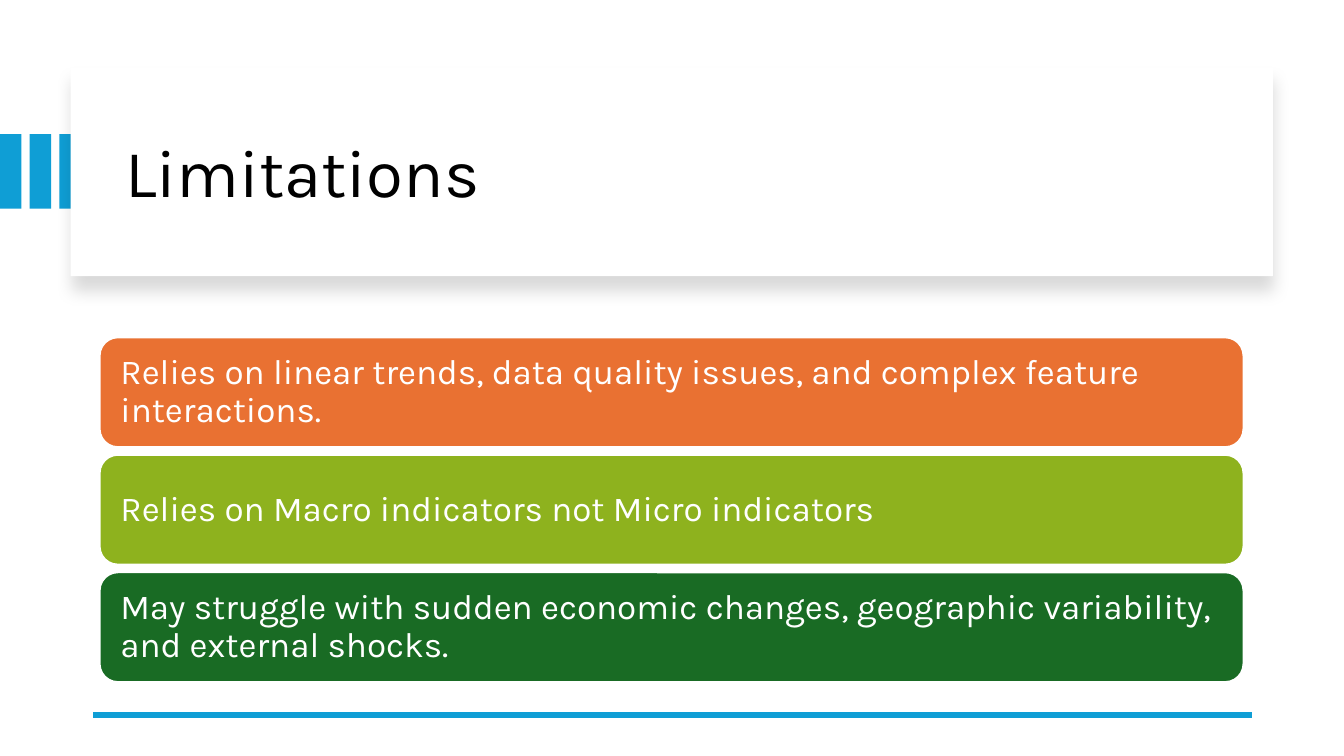
from dataclasses import dataclass

from lxml import etree
from pptx import Presentation
from pptx.dml.color import RGBColor
from pptx.enum.shapes import MSO_CONNECTOR, MSO_SHAPE
from pptx.enum.text import MSO_ANCHOR, PP_ALIGN
from pptx.oxml import parse_xml
from pptx.oxml.ns import nsdecls, qn
from pptx.util import Cm, Pt

RECT = MSO_SHAPE.RECTANGLE
ROUND = MSO_SHAPE.ROUNDED_RECTANGLE
LINE = MSO_CONNECTOR.STRAIGHT
MIDDLE = MSO_ANCHOR.MIDDLE
LEFT = PP_ALIGN.LEFT


@dataclass(frozen=True)
class Theme:
    font: str = "Karla"
    ink: RGBColor = RGBColor.from_string("000000")
    paper: RGBColor = RGBColor.from_string("FFFFFF")
    accent: RGBColor = RGBColor.from_string("0F9ED5")
    orange: RGBColor = RGBColor.from_string("E97132")
    lime: RGBColor = RGBColor.from_string("8EB21E")
    green: RGBColor = RGBColor.from_string("196B24")
    title: Pt = Pt(48)
    body: Pt = Pt(25)
    edge: Pt = Pt(1.5)
    rule: Pt = Pt(4.5)


THEME = Theme()

LIMITS = [
    ("Relies on linear trends, data quality issues, and complex feature "
     "interactions.", THEME.orange),
    ("Relies on Macro indicators not Micro indicators", THEME.lime),
    ("May struggle with sudden economic changes, geographic variability, "
     "and external shocks.", THEME.green),
]


def add_box(slide, kind, left, top, width, height, fill):
    box = slide.shapes.add_shape(kind, Cm(left), Cm(top), Cm(width), Cm(height))
    box.shadow.inherit = False
    box.fill.solid()
    box.fill.fore_color.rgb = fill
    box.line.fill.background()
    return box


def style_text(frame, size, color):
    frame.word_wrap = True
    frame.vertical_anchor = MIDDLE
    para = frame.paragraphs[0]
    para.alignment = LEFT
    para.line_spacing = 0.9
    para.font.name = THEME.font
    para.font.size = size
    para.font.color.rgb = color


def add_stripes(slide):
    for i in range(3):
        add_box(slide, RECT, 0.75 * i, 3.38, 0.54, 1.88, THEME.accent)


def add_panel(slide):
    """Add the white title panel with its soft shadow below."""
    panel = add_box(slide, RECT, 1.78, 1.7, 30.3, 5.26, THEME.paper)
    effects = panel.element.spPr.find(qn("a:effectLst"))
    effects.append(parse_xml(
        f'<a:outerShdw {nsdecls("a")} blurRad="{Pt(11)}" dist="{Pt(10)}" '
        f'dir="5400000" algn="t" rotWithShape="0"><a:srgbClr val="{THEME.ink}">'
        '<a:alpha val="15000"/></a:srgbClr></a:outerShdw>'))
    return panel


def set_title(slide, text, panel):
    """Fill the title placeholder and bring it in front of the panel."""
    title = slide.shapes.title
    title.left, title.top = Cm(2.9), Cm(2.26)
    title.width, title.height = Cm(28.27), Cm(4.32)
    title.text_frame.text = text
    style_text(title.text_frame, THEME.title, THEME.ink)
    panel.element.addnext(title.element)


def add_rule(slide):
    rule = slide.shapes.add_connector(
        LINE, Cm(31.55), Cm(18.01), Cm(2.34), Cm(18.01))
    rule.line.color.rgb = THEME.accent
    rule.line.width = THEME.rule
    etree.SubElement(rule.element.spPr, qn("a:effectLst"))


def add_card(slide, top, text, fill):
    card = add_box(slide, ROUND, 2.51, top, 28.83, 2.77, fill)
    card.line.color.rgb = THEME.paper
    card.line.width = THEME.edge
    frame = card.text_frame
    frame.margin_left = frame.margin_right = Cm(0.39)
    frame.text = text
    style_text(frame, THEME.body, THEME.paper)


def main():
    deck = Presentation()
    deck.slide_width, deck.slide_height = Cm(33.87), Cm(19.05)
    slide = deck.slides.add_slide(deck.slide_layouts.get_by_name("Title Only"))
    add_stripes(slide)
    panel = add_panel(slide)
    set_title(slide, "Limitations", panel)
    add_rule(slide)
    for i, (text, fill) in enumerate(LIMITS):
        add_card(slide, 8.5 + 2.96 * i, text, fill)
    deck.save("out.pptx")


if __name__ == "__main__":
    main()
